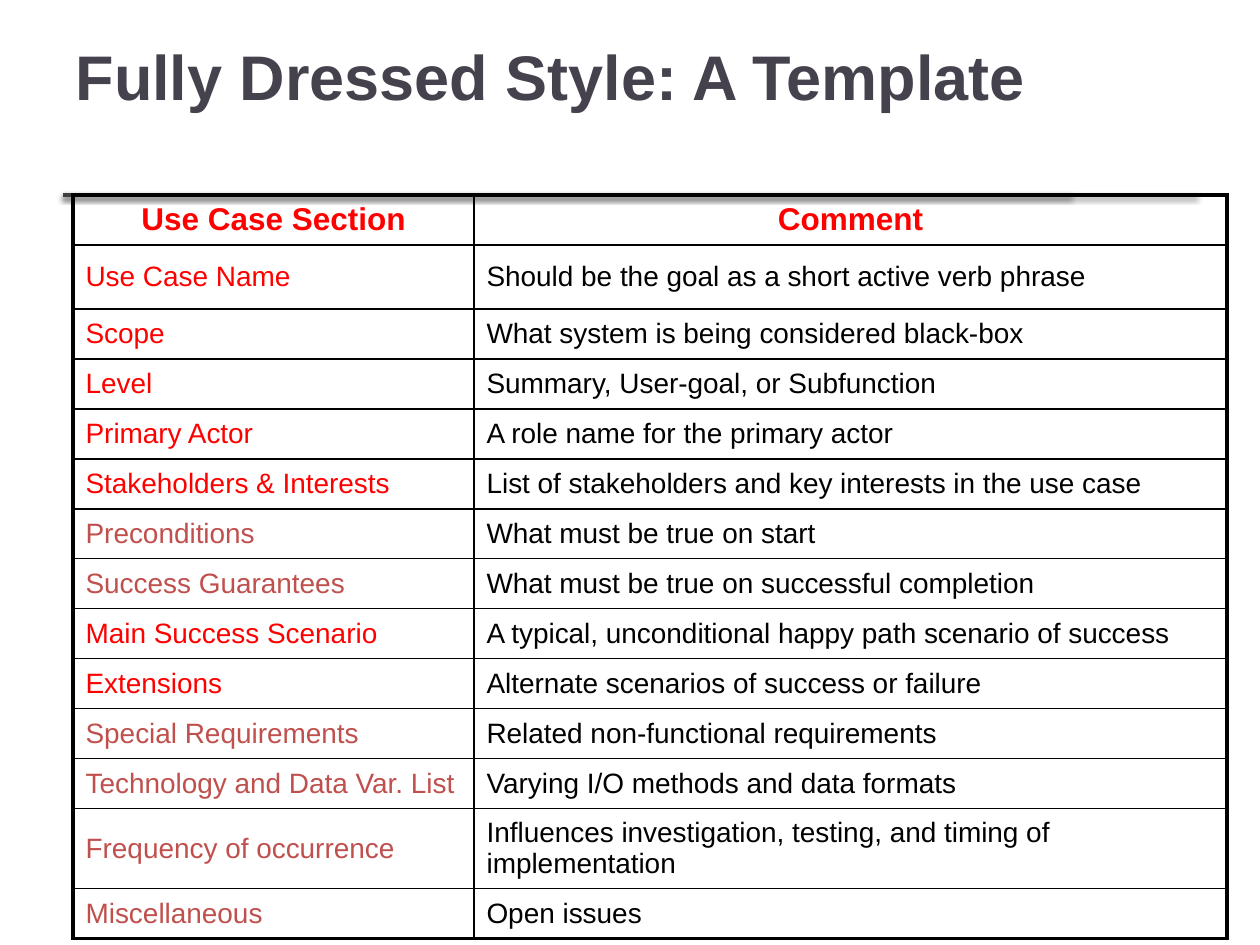
from dataclasses import dataclass

from lxml import etree
from pptx import Presentation
from pptx.dml.color import RGBColor as RGB
from pptx.enum.shapes import MSO_CONNECTOR as Connector
from pptx.enum.text import MSO_ANCHOR as Anchor, MSO_AUTO_SIZE as AutoSize, PP_ALIGN as Align
from pptx.oxml.ns import qn
from pptx.util import Emu, Pt

EMU_PER_PX = 914400 / 126


@dataclass(frozen=True)
class Theme:
    font: str = "Arial"
    title: str = "46424D"
    rule: str = "404040"
    black: str = "000000"
    required: str = "FF0000"
    optional: str = "C0504D"
    title_size: int = 36
    header_size: int = 18
    body_size: int = 16
    rule_width: float = 2
    outer_border: float = 2.25
    inner_border: float = 1


@dataclass(frozen=True)
class Section:
    name: str
    comment: str
    required: bool = True
    height: int = 50


THEME = Theme()
RULE_LEFT, RULE_TOP, RULE_ENDS = 63, 195, (1070, 1196)
TABLE_LEFT, TABLE_TOP = 73, 195
COLUMN_WIDTHS = (401, 753)
HEADER = Section("Use Case Section", "Comment")
SECTIONS = [
    Section("Use Case Name", "Should be the goal as a short active verb phrase", height=64),
    Section("Scope", "What system is being considered black-box"),
    Section("Level", "Summary, User-goal, or Subfunction"),
    Section("Primary Actor", "A role name for the primary actor"),
    Section("Stakeholders & Interests", "List of stakeholders and key interests in the use case"),
    Section("Preconditions", "What must be true on start", False),
    Section("Success Guarantees", "What must be true on successful completion", False),
    Section("Main Success Scenario", "A typical, unconditional happy path scenario of success"),
    Section("Extensions", "Alternate scenarios of success or failure"),
    Section("Special Requirements", "Related non-functional requirements", False),
    Section("Technology and Data Var. List", "Varying I/O methods and data formats", False),
    Section("Frequency of occurrence",
            "Influences investigation, testing, and timing of implementation", False, 80),
    Section("Miscellaneous", "Open issues", False),
]


def px(n: int) -> Emu:
    return Emu(round(n * EMU_PER_PX))


def add_run(p, text: str, size: int, color: str, bold: bool = False) -> None:
    r = p.add_run()
    r.text = text
    r.font.name = THEME.font
    r.font.size = Pt(size)
    r.font.bold = bold
    r.font.color.rgb = RGB.from_string(color)


def add_rule(s, end: int) -> None:
    """Draw a horizontal rule with a soft shadow below it."""
    line = s.shapes.add_connector(
        Connector.STRAIGHT, px(RULE_LEFT), px(RULE_TOP), px(end), px(RULE_TOP))
    line.line.color.rgb = RGB.from_string(THEME.rule)
    line.line.width = Pt(THEME.rule_width)
    effects = etree.SubElement(line._element.spPr, qn("a:effectLst"))
    shadow = etree.SubElement(
        effects, qn("a:outerShdw"), blurRad=str(Pt(3.1)), dist=str(Pt(1.6)),
        dir="5400000", rotWithShape="0")
    color = etree.SubElement(shadow, qn("a:srgbClr"), val=THEME.black)
    etree.SubElement(color, qn("a:alpha"), val="38000")


def set_borders(cell, outer: dict[str, bool]) -> None:
    """Give each side the outer or the inner border width."""
    tc_pr = cell._tc.get_or_add_tcPr()
    for side, is_outer in outer.items():
        width = THEME.outer_border if is_outer else THEME.inner_border
        ln = etree.SubElement(tc_pr, qn(f"a:ln{side}"), w=str(Pt(width)))
        fill = etree.SubElement(ln, qn("a:solidFill"))
        etree.SubElement(fill, qn("a:srgbClr"), val=THEME.black)


def add_title(s, text: str) -> None:
    sp = s.shapes.title
    sp.left, sp.top, sp.width, sp.height = px(63), px(-4), px(1134), px(158)
    tf = sp.text_frame
    tf.auto_size = AutoSize.NONE
    tf.vertical_anchor = Anchor.MIDDLE
    p = tf.paragraphs[0]
    p.alignment = Align.LEFT
    add_run(p, text, THEME.title_size, THEME.title, bold=True)


def add_section_table(s, rows: list[Section]) -> None:
    table = s.shapes.add_table(
        len(rows), len(COLUMN_WIDTHS), px(TABLE_LEFT), px(TABLE_TOP),
        px(sum(COLUMN_WIDTHS)), px(sum(row.height for row in rows))).table
    table.first_row = table.horz_banding = False
    for column, width in zip(table.columns, COLUMN_WIDTHS):
        column.width = px(width)
    last_row, last_col = len(rows) - 1, len(COLUMN_WIDTHS) - 1
    for i, row in enumerate(rows):
        table.rows[i].height = px(row.height)
        is_header = i == 0
        name_color = THEME.required if row.required else THEME.optional
        comment_color = THEME.required if is_header else THEME.black
        for j, (text, color) in enumerate(
                [(row.name, name_color), (row.comment, comment_color)]):
            cell = table.cell(i, j)
            set_borders(cell, {"L": j == 0, "R": j == last_col,
                               "T": is_header, "B": i == last_row})
            cell.fill.background()
            cell.vertical_anchor = Anchor.MIDDLE
            p = cell.text_frame.paragraphs[0]
            p.alignment = Align.CENTER if is_header else Align.LEFT
            size = THEME.header_size if is_header else THEME.body_size
            add_run(p, text, size, color, bold=is_header)


def main() -> None:
    prs = Presentation()
    prs.slide_width, prs.slide_height = px(1260), px(945)
    s = prs.slides.add_slide(prs.slide_layouts[5])
    for end in RULE_ENDS:
        add_rule(s, end)
    add_title(s, "Fully Dressed Style: A Template")
    add_section_table(s, [HEADER, *SECTIONS])
    prs.save("out.pptx")


if __name__ == "__main__":
    main()
